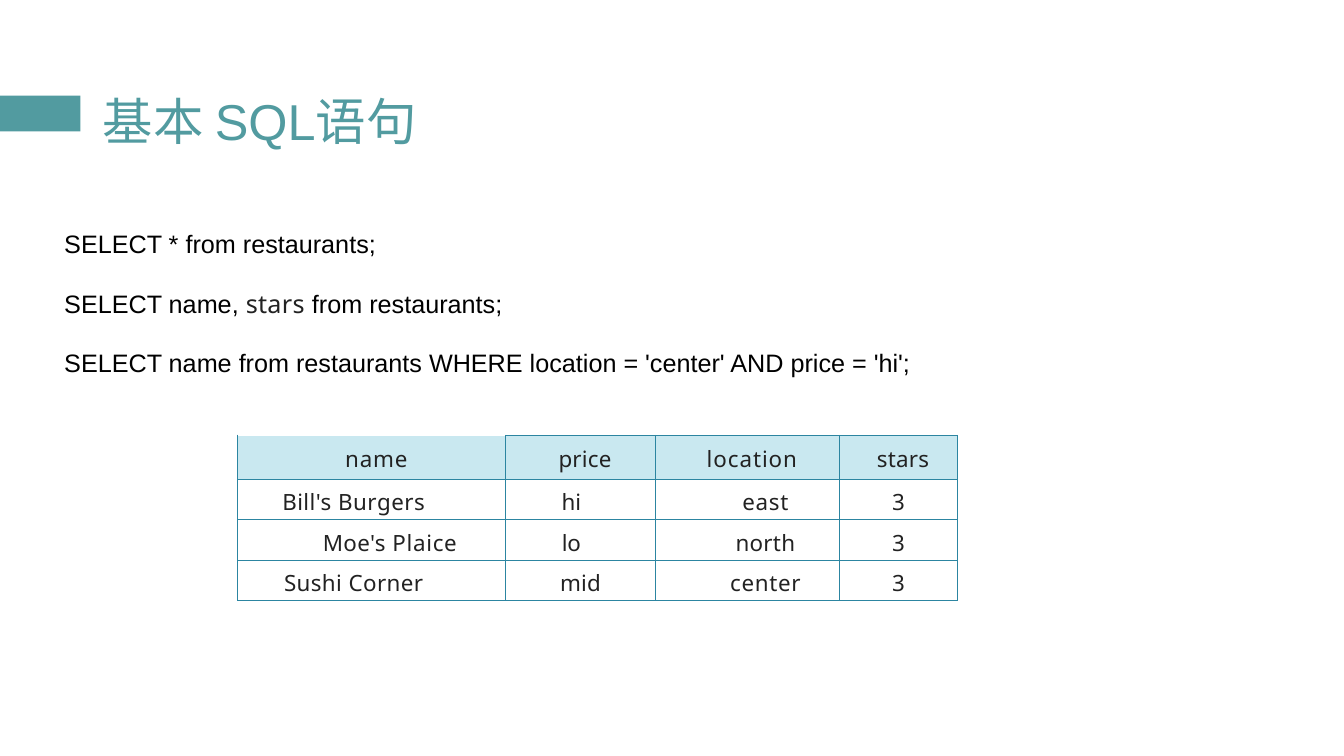
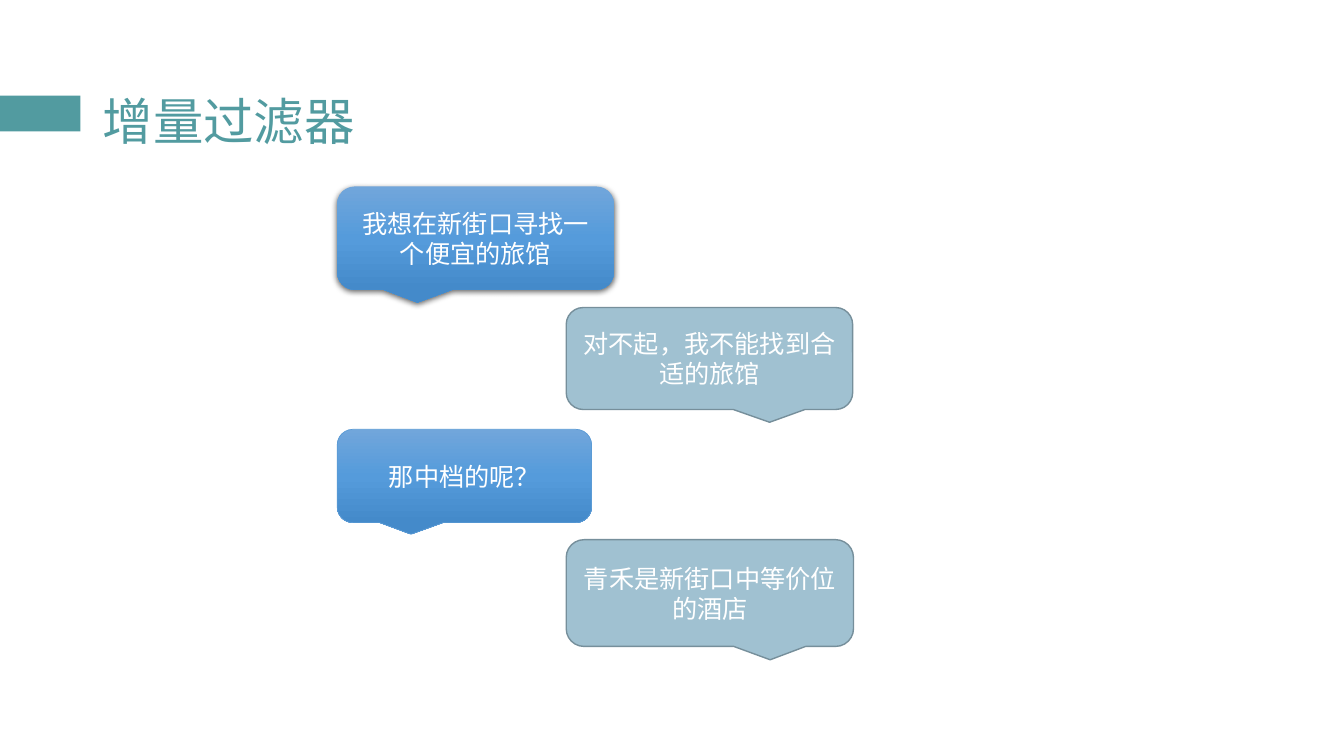
import copy
from dataclasses import dataclass

import lxml.etree
import pptx
import pptx.dml.color
import pptx.enum.shapes
import pptx.enum.text
import pptx.oxml.ns
import pptx.presentation
import pptx.shapes.autoshape
import pptx.slide
import pptx.table
import pptx.text.text
import pptx.util

Cm = pptx.util.Cm
Pt = pptx.util.Pt
qn = pptx.oxml.ns.qn
CENTER = pptx.enum.text.PP_ALIGN.CENTER
MIDDLE = pptx.enum.text.MSO_ANCHOR.MIDDLE


@dataclass(frozen=True)
class Theme:
    teal: str = "529BA0"
    black: str = "000000"
    dark: str = "222222"
    white: str = "FFFFFF"
    header_fill: str = "C9E8F0"
    grid: str = "2C85A1"
    question_stops: tuple[str, ...] = ("71A6DB", "559BDB", "448ACA")
    question_line: str = "5B9BD5"
    answer_fill: str = "A0C1D1"
    answer_line: str = "768F9B"
    font: str = "Arial"
    table_font: str = "Noto Sans"
    title_size: float = 36
    body_size: float = 18
    table_size: float = 16


THEME = Theme()


@dataclass(frozen=True)
class Piece:
    """A run of text; tracking is in points."""
    text: str
    size: float = THEME.body_size
    color: str = THEME.black
    font: str = THEME.font
    tracking: float = 0


@dataclass(frozen=True)
class Entry:
    """A table cell; shift is a left indent, or a right one when negative (cm)."""
    pieces: tuple[tuple[str, float], ...]
    shift: float = 0


@dataclass(frozen=True)
class Bubble:
    """A speech bubble, measured in cm."""
    text: str
    left: float
    top: float
    width: float
    height: float
    is_question: bool
    outline: tuple[str, float] | None
    has_shadow: bool = False


def rgb(value: str) -> pptx.dml.color.RGBColor:
    return pptx.dml.color.RGBColor.from_string(value)


def add_pieces(paragraph: pptx.text.text._Paragraph, *pieces: Piece) -> None:
    for piece in pieces:
        run = paragraph.add_run()
        run.text = piece.text
        run.font.size = Pt(piece.size)
        run.font.name = piece.font
        run.font.color.rgb = rgb(piece.color)
        if piece.tracking:
            run.font._element.set("spc", str(round(piece.tracking * 100)))


# Shared slide frame: teal band and title
def add_titled_slide(deck: pptx.presentation.Presentation, heading: str) -> pptx.slide.Slide:
    slide = deck.slides.add_slide(deck.slide_layouts[6])
    band = slide.shapes.add_shape(
        pptx.enum.shapes.MSO_SHAPE.RECTANGLE, Cm(0), Cm(2.41), Cm(2.03), Cm(0.9))
    band.shadow.inherit = False
    band.fill.solid()
    band.fill.fore_color.rgb = rgb(THEME.teal)
    band.line.fill.background()

    title = slide.shapes.add_textbox(Cm(2.34), Cm(1.03), Cm(29.2), Cm(3.68)).text_frame
    title.word_wrap = True
    title.vertical_anchor = MIDDLE
    title.paragraphs[0].line_spacing = 1.2
    add_pieces(title.paragraphs[0], Piece(heading, THEME.title_size, THEME.teal))
    return slide


# SQL statements
def add_statements(slide: pptx.slide.Slide, statements: list[tuple[Piece, ...]]) -> None:
    frame = slide.shapes.add_textbox(Cm(1.37), Cm(5.64), Cm(24.03), Cm(4.11)).text_frame
    frame.word_wrap = True
    for index, statement in enumerate(statements):
        paragraph = frame.add_paragraph() if index else frame.paragraphs[0]
        if index:
            paragraph.space_before = Pt(20.7)
        add_pieces(paragraph, *statement)


# Restaurant table
def set_borders(cell: pptx.table._Cell, sides: str) -> None:
    properties = cell._tc.get_or_add_tcPr()
    for side in sides:
        border = lxml.etree.SubElement(properties, qn(f"a:ln{side}"), w=str(Pt(0.75)))
        solid = lxml.etree.SubElement(border, qn("a:solidFill"))
        lxml.etree.SubElement(solid, qn("a:srgbClr"), val=THEME.grid)


def fill_cell(cell: pptx.table._Cell, entry: Entry, is_header: bool, sides: str) -> None:
    set_borders(cell, sides)
    if is_header:
        cell.fill.solid()
        cell.fill.fore_color.rgb = rgb(THEME.header_fill)
    else:
        cell.fill.background()
    cell.margin_left = cell.margin_right = cell.margin_bottom = Cm(0)
    cell.margin_top = Cm(0.2)
    paragraph = cell.text_frame.paragraphs[0]
    paragraph.alignment = CENTER
    paragraph.space_before = Pt(5.8)
    if entry.shift:
        side = "marL" if entry.shift > 0 else "marR"
        paragraph._p.get_or_add_pPr().set(side, str(Cm(abs(entry.shift))))
    add_pieces(paragraph, *(
        Piece(text, THEME.table_size, THEME.dark, THEME.table_font, tracking)
        for text, tracking in entry.pieces))


def add_restaurants(slide: pptx.slide.Slide, rows: list[list[Entry]]) -> None:
    widths = (6.76, 3.76, 4.65, 2.97)
    heights = [1.1] + [1.02] * (len(rows) - 1)
    restaurants = slide.shapes.add_table(
        len(rows), len(widths), Cm(5.99), Cm(10.97), Cm(sum(widths)), Cm(sum(heights))).table
    restaurants.first_row = False
    restaurants.horz_banding = False
    for column, width in zip(restaurants.columns, widths):
        column.width = Cm(width)
    for y, (entries, height) in enumerate(zip(rows, heights)):
        restaurants.rows[y].height = Cm(height)
        for x, entry in enumerate(entries):
            # The first header cell is open at the top
            sides = "LRTB" if x or y else "LRB"
            fill_cell(restaurants.cell(y, x), entry, y == 0, sides)


# Dialogue bubbles
def fill_question(shape: pptx.shapes.autoshape.Shape) -> None:
    shape.fill.gradient()
    shape.fill.gradient_angle = 270
    stop_list = shape._element.spPr.find(".//" + qn("a:gsLst"))
    stop_list.append(copy.deepcopy(stop_list[0]))
    for index, (stop, color) in enumerate(zip(shape.fill.gradient_stops, THEME.question_stops)):
        stop.position = index / 2
        stop.color.rgb = rgb(color)


def add_drop_shadow(shape: pptx.shapes.autoshape.Shape) -> None:
    effects = shape._element.spPr.find(qn("a:effectLst"))
    shadow = lxml.etree.SubElement(
        effects, qn("a:outerShdw"), blurRad=str(Pt(4.5)), dist=str(Pt(1.5)),
        dir="5400000", algn="ctr", rotWithShape="0")
    tint = lxml.etree.SubElement(shadow, qn("a:srgbClr"), val=THEME.black)
    lxml.etree.SubElement(tint, qn("a:alpha"), val="63000")


def add_bubble(slide: pptx.slide.Slide, bubble: Bubble) -> None:
    shape = slide.shapes.add_shape(
        pptx.enum.shapes.MSO_SHAPE.ROUNDED_RECTANGULAR_CALLOUT,
        Cm(bubble.left), Cm(bubble.top), Cm(bubble.width), Cm(bubble.height))
    # Questions point down left, answers down right
    shape.adjustments[0] = -0.21 if bubble.is_question else 0.21
    shape.adjustments[1] = 0.625
    shape.shadow.inherit = False
    if bubble.is_question:
        fill_question(shape)
    else:
        shape.fill.solid()
        shape.fill.fore_color.rgb = rgb(THEME.answer_fill)
    if bubble.outline:
        color, weight = bubble.outline
        shape.line.color.rgb = rgb(color)
        shape.line.width = Pt(weight)
    else:
        shape.line.fill.background()
    if bubble.has_shadow:
        add_drop_shadow(shape)
    frame = shape.text_frame
    frame.word_wrap = True
    frame.vertical_anchor = MIDDLE
    frame.paragraphs[0].alignment = CENTER
    add_pieces(frame.paragraphs[0], Piece(bubble.text, color=THEME.white))


STATEMENTS = [
    (Piece("SELECT * from restaurants;"),),
    (Piece("SELECT name, "),
     Piece("stars", color=THEME.dark, font=THEME.table_font, tracking=0.2),
     Piece(" from restaurants;")),
    (Piece("SELECT name from restaurants WHERE location = 'center' AND price = 'hi';"),),
]

HEADER_SHIFT, WIDE_SHIFT, PRICE_SHIFT = 0.23, 0.91, -0.46
THREE_STARS = Entry((("3", 0),))
RESTAURANTS = [
    [Entry((label,), HEADER_SHIFT) for label in
     (("name", 0.6), ("price", 0.2), ("location", 0.7), ("stars", 0.2))],
    [Entry((("Bill's ", 0.3), ("Burgers", 0.4)), -WIDE_SHIFT),
     Entry((("hi", -0.1),), PRICE_SHIFT),
     Entry((("east", 0.5),), WIDE_SHIFT), THREE_STARS],
    [Entry((("Moe's ", 0.3), ("Plaice", 0.5)), WIDE_SHIFT),
     Entry((("lo", -0.1),), PRICE_SHIFT),
     Entry((("north", 0.2),), WIDE_SHIFT), THREE_STARS],
    [Entry((("Sushi Corner", 0.3),), -WIDE_SHIFT),
     Entry((("mid", 0.1),)),
     Entry((("center", 0.5),), WIDE_SHIFT), THREE_STARS],
]

QUESTION_LEFT, ANSWER_LEFT = 8.5, 14.27
ANSWER_OUTLINE = (THEME.answer_line, 1)
DIALOGUE = [
    Bubble("我想在新街口寻找一个便宜的旅馆", QUESTION_LEFT, 4.7, 6.97, 2.6, True, None, True),
    Bubble("对不起，我不能找到合适的旅馆", ANSWER_LEFT, 7.75, 7.22, 2.57, False, ANSWER_OUTLINE),
    Bubble("那中档的呢？", QUESTION_LEFT, 10.82, 6.41, 2.35, True, (THEME.question_line, 0.5)),
    Bubble("青禾是新街口中等价位的酒店", ANSWER_LEFT, 13.6, 7.24, 2.69, False, ANSWER_OUTLINE),
]


def main() -> None:
    deck = pptx.Presentation()
    deck.slide_width, deck.slide_height = Cm(33.87), Cm(19.05)

    # Slide 1: basic SQL statements
    sql_slide = add_titled_slide(deck, "基本 SQL语句")
    add_restaurants(sql_slide, RESTAURANTS)
    add_statements(sql_slide, STATEMENTS)

    # Slide 2: incremental filter
    filter_slide = add_titled_slide(deck, "增量过滤器")
    for bubble in DIALOGUE:
        add_bubble(filter_slide, bubble)

    deck.save("out.pptx")


main()
